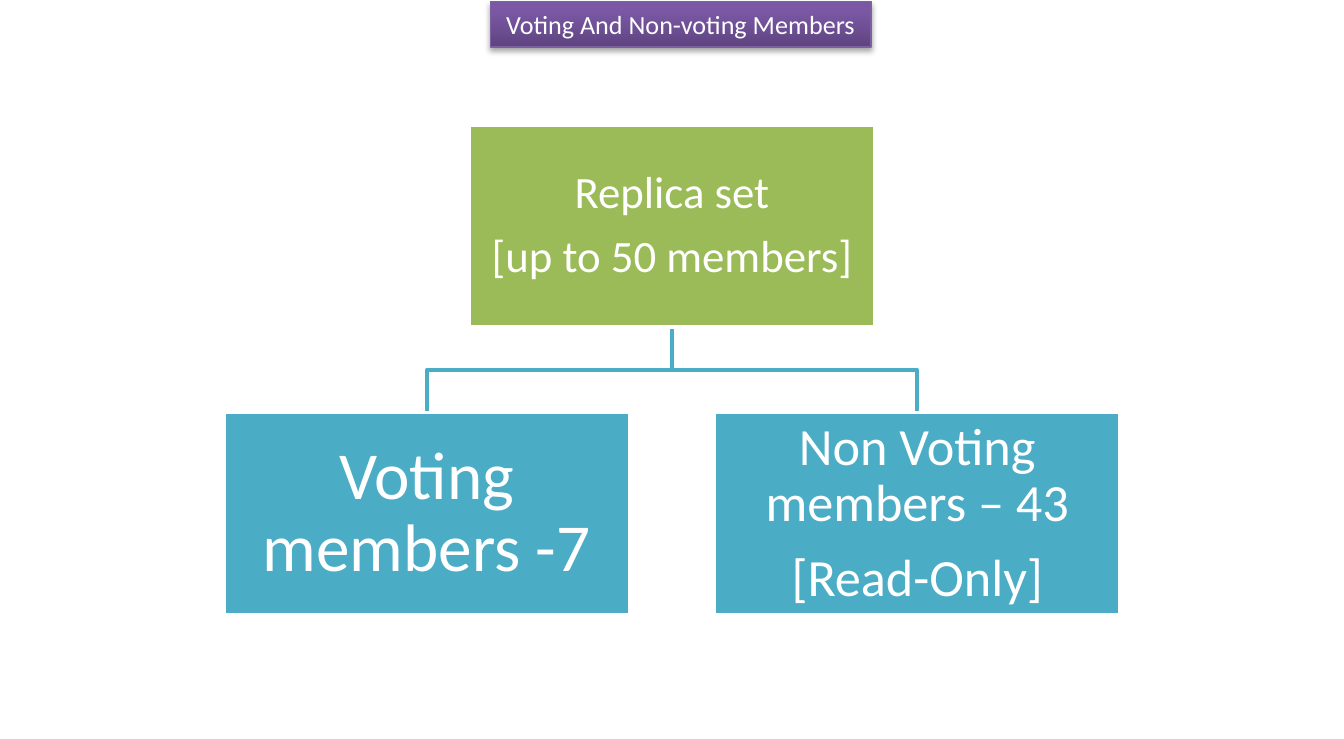
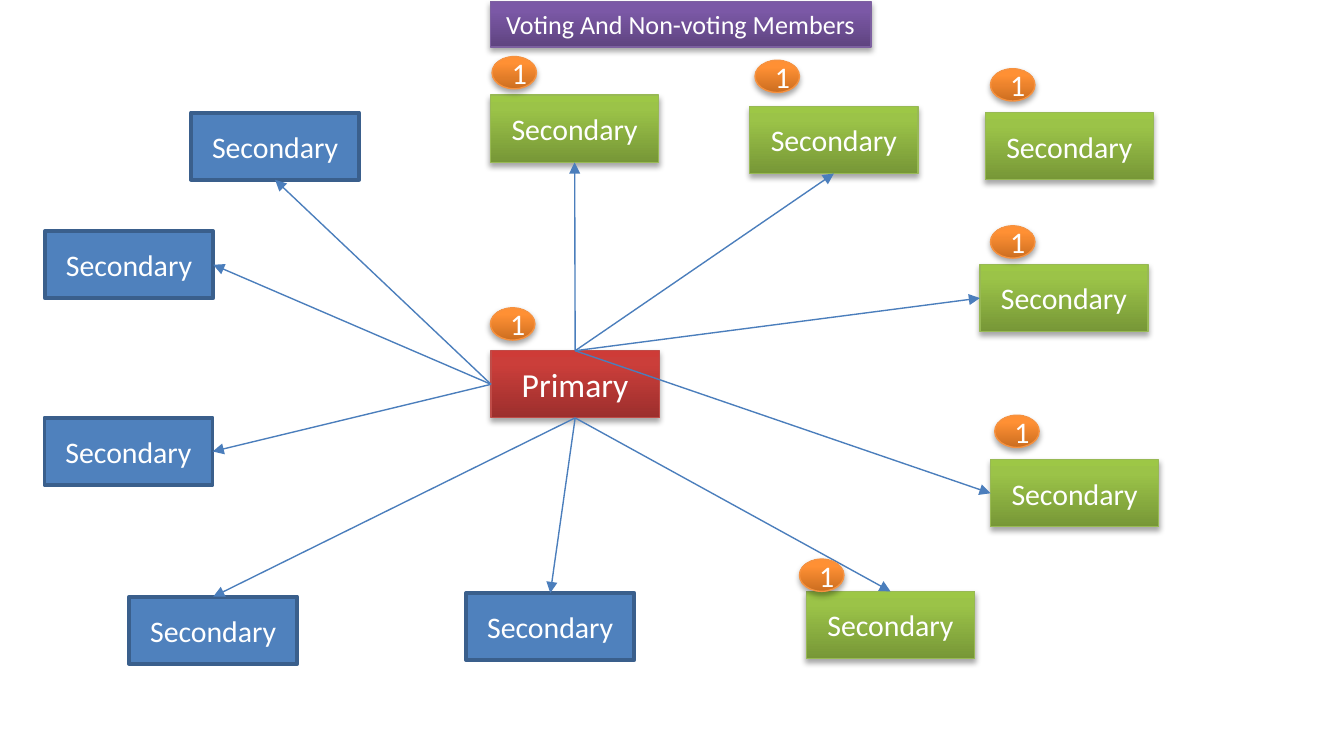
from copy import deepcopy
from dataclasses import dataclass

from lxml import etree
from pptx import Presentation
from pptx.dml.color import RGBColor
from pptx.enum.shapes import MSO_CONNECTOR, MSO_SHAPE
from pptx.enum.text import MSO_ANCHOR, MSO_AUTO_SIZE, PP_ALIGN
from pptx.oxml.ns import qn
from pptx.util import Cm, Pt

RECT, OVAL = MSO_SHAPE.RECTANGLE, MSO_SHAPE.OVAL
LINE = MSO_CONNECTOR.STRAIGHT
CENTER, MIDDLE, TOPMOST = PP_ALIGN.CENTER, MSO_ANCHOR.MIDDLE, MSO_ANCHOR.TOP
GROW = MSO_AUTO_SIZE.SHAPE_TO_FIT_TEXT
TOP, LEFT, BOTTOM, RIGHT = range(4)


@dataclass(frozen=True)
class Look:
    fill: tuple  # one colour, or dark, middle and light from the bottom up
    line: str
    width: float


class Theme:
    font = "Calibri"
    text = "FFFFFF"
    shade = "000000"
    title = Look(("5F4480", "7B58A6", "7C57A8"), "7D60A0", 0.75)
    root = Look(("9BBB59",), "FFFFFF", 2)
    leaf = Look(("4BACC6",), "FFFFFF", 2)
    branch = "4BACC6"
    main = Look(("9C2F2D", "CB3E3A", "CE3B37"), "BF4C48", 0.75)
    voter = Look(("779737", "9BC348", "9DC746"), "98B955", 0.75)
    plain = Look(("4F81BD",), "3A5F8C", 2)
    badge = Look(("CC6E20", "FF9034", "FF9136"), "F69240", 0.75)
    arrow = "4B7EBC"
    title_size, main_size, node_size = 14, 18, 16
    root_size, vote_size, read_size = 24, 36, 28


# Content
TITLE = "Voting And Non-voting Members"
ROOT = ["Replica set", "[up to 50 members]"]
LEAVES = [
    (["Voting members -7"], Theme.vote_size),
    (["Non Voting members – 43", "[Read-Only]"], Theme.read_size),
]
MAIN, NODE, VOTE = "Primary", "Secondary", "1"

# Voting members: place, badge place, sides joined (primary, member), in cm
VOTERS = [
    ((9.27, 1.8), (9.3, 1.07), (TOP, BOTTOM)),
    ((14.17, 2.01), (14.27, 1.14), (TOP, BOTTOM)),
    ((18.62, 2.13), (18.72, 1.3), None),
    ((18.52, 5), (18.72, 4.27), (TOP, LEFT)),
    ((18.72, 8.69), (18.8, 7.85), (TOP, LEFT)),
    ((15.24, 11.18), (15.11, 10.57), (BOTTOM, TOP)),
]
# Non-voting members: place, sides joined
PLAINS = [
    ((8.81, 11.21), (BOTTOM, TOP)),
    ((2.44, 11.28), (BOTTOM, TOP)),
    ((0.84, 7.9), (LEFT, RIGHT)),
    ((0.85, 4.37), (LEFT, RIGHT)),
    ((3.61, 2.13), (LEFT, BOTTOM)),
]
MAIN_AT, MAIN_VOTE = (9.28, 6.63), (9.27, 5.82)

# Sizes in cm
WIDE, HIGH = 25.4, 13.97
CARD_W, CARD_H, CARD_GAP = 7.67, 3.83, 1.6
ROOT_Y, LEAF_Y = 2.36, 7.8
NODE_BOX, BADGE_BOX = (3.18, 1.27), (0.84, 0.61)
TITLE_AT, TITLE_BOX = (9.27, 0.03), (7.19, 0.86)


def rgb(code):
    return RGBColor.from_string(code)


def add(parent, name, **attrs):
    return etree.SubElement(parent, qn(name), attrs)


def shadow(shape):
    effects = shape._element.spPr.find(qn("a:effectLst"))
    outer = add(effects, "a:outerShdw", blurRad="39370", dist="22860",
                dir="5400000", rotWithShape="0")
    color = add(outer, "a:srgbClr", val=Theme.shade)
    add(color, "a:alpha", val="35000")


def paint(shape, look):
    shape.shadow.inherit = False
    shape.line.color.rgb = rgb(look.line)
    shape.line.width = Pt(look.width)
    if len(look.fill) == 1:
        shape.fill.solid()
        shape.fill.fore_color.rgb = rgb(look.fill[0])
        return
    shape.fill.gradient()
    shape.fill.gradient_angle = 90
    last = shape._element.spPr.find(".//" + qn("a:gsLst"))[-1]
    last.addnext(deepcopy(last))
    stops = shape.fill.gradient_stops
    for stop, code, spot in zip(stops, look.fill, (0, 0.8, 1)):
        stop.color.rgb = rgb(code)
        stop.position = spot
    shadow(shape)


def box(slide, kind, spot, size, look, lines, points):
    shape = slide.shapes.add_shape(kind, *map(Cm, spot + size))
    paint(shape, look)
    frame = shape.text_frame
    frame.text = "\n".join(lines)
    frame.word_wrap = True
    frame.vertical_anchor = MIDDLE
    for para in frame.paragraphs:
        para.alignment = CENTER
        font = para.font
        font.name, font.size = Theme.font, Pt(points)
        font.color.rgb = rgb(Theme.text)
    return shape


def new_slide(deck):
    slide = deck.slides.add_slide(deck.slide_layouts[6])
    frame = box(slide, RECT, TITLE_AT, TITLE_BOX, Theme.title, [TITLE],
                Theme.title_size).text_frame
    frame.word_wrap = False
    frame.vertical_anchor = TOPMOST
    frame.auto_size = GROW
    return slide


def card(slide, spot, look, lines, points):
    frame = box(slide, RECT, spot, (CARD_W, CARD_H), look, lines,
                points).text_frame
    frame.margin_left = frame.margin_right = Cm(0.05)
    frame.margin_top = frame.margin_bottom = Cm(0.05)
    for para in frame.paragraphs:
        para.line_spacing = 0.9
    for para in frame.paragraphs[:-1]:
        para.space_after = Pt(points * 0.35)


def branch(slide, end_x):
    start_y = ROOT_Y + CARD_H
    mid_x, mid_y = WIDE / 2, (start_y + LEAF_Y) / 2
    path = slide.shapes.build_freeform(Cm(mid_x), Cm(start_y))
    turns = [(mid_x, mid_y), (end_x, mid_y), (end_x, LEAF_Y)]
    path.add_line_segments([(Cm(x), Cm(y)) for x, y in turns], close=False)
    shape = path.convert_to_shape()
    shape.shadow.inherit = False
    shape.fill.background()
    shape.line.color.rgb = rgb(Theme.branch)
    shape.line.width = Pt(2)


def arrow(slide, start, end, sides):
    link = slide.shapes.add_connector(LINE, 0, 0, 0, 0)
    link.begin_connect(start, sides[0])
    link.end_connect(end, sides[1])
    link.line.color.rgb = rgb(Theme.arrow)
    link.line.width = Pt(0.75)
    add(link.line._get_or_add_ln(), "a:tailEnd", type="triangle")
    add(link._element.spPr, "a:effectLst")


def tree(deck):
    slide = new_slide(deck)
    step = CARD_W + CARD_GAP
    first = (WIDE - CARD_W - step * (len(LEAVES) - 1)) / 2
    lefts = [first + step * i for i in range(len(LEAVES))]
    for left in lefts:
        branch(slide, left + CARD_W / 2)
    card(slide, ((WIDE - CARD_W) / 2, ROOT_Y), Theme.root, ROOT,
         Theme.root_size)
    for left, (lines, points) in zip(lefts, LEAVES):
        card(slide, (left, LEAF_Y), Theme.leaf, lines, points)


def star(deck):
    slide = new_slide(deck)
    main = box(slide, RECT, MAIN_AT, NODE_BOX, Theme.main, [MAIN],
               Theme.main_size)
    # Members first, then arrows, then vote badges on top
    members = [(spot, sides, Theme.voter) for spot, _, sides in VOTERS]
    members += [(spot, sides, Theme.plain) for spot, sides in PLAINS]
    nodes = [(box(slide, RECT, spot, NODE_BOX, look, [NODE],
                  Theme.node_size), sides) for spot, sides, look in members]
    for node, sides in nodes:
        if sides:
            arrow(slide, main, node, sides)
    for spot in [MAIN_VOTE] + [vote for _, vote, _ in VOTERS]:
        box(slide, OVAL, spot, BADGE_BOX, Theme.badge, [VOTE],
            Theme.node_size)


def main():
    deck = Presentation()
    deck.slide_width, deck.slide_height = Cm(WIDE), Cm(HIGH)
    tree(deck)
    star(deck)
    deck.save("out.pptx")


if __name__ == "__main__":
    main()
